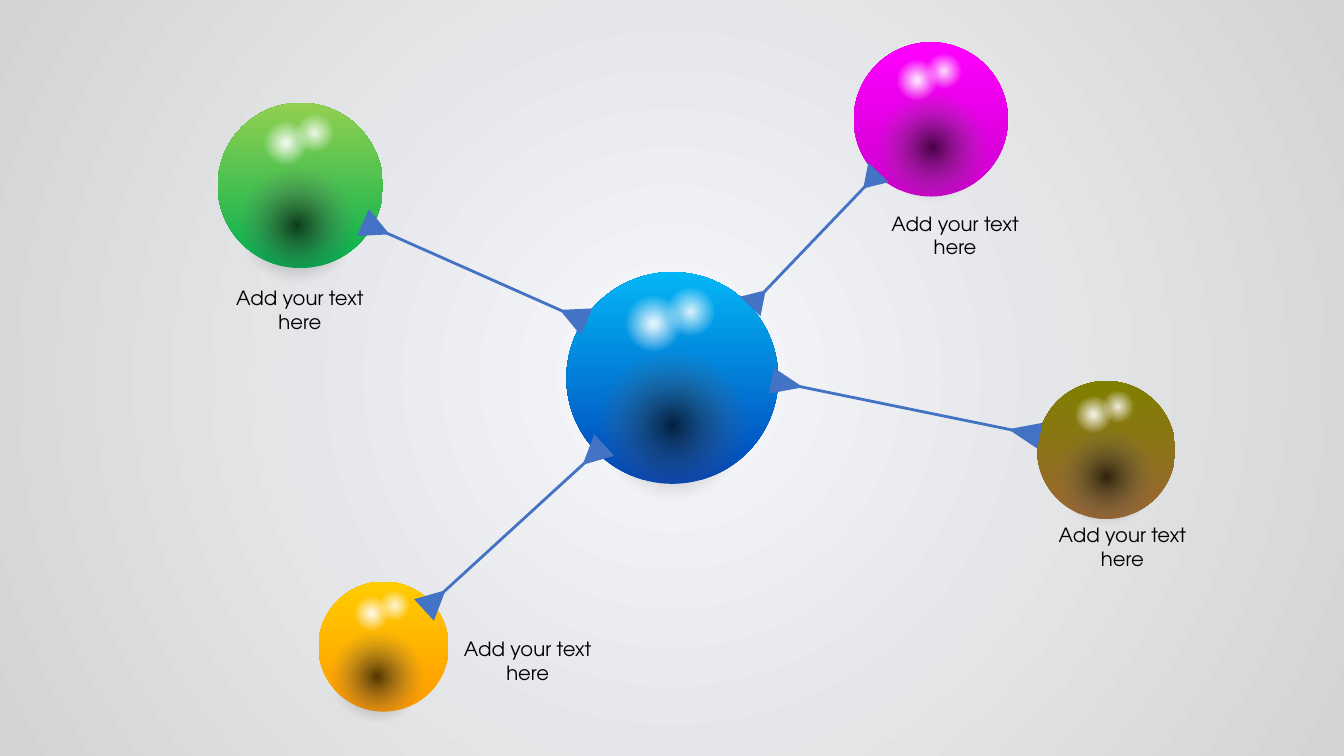
from math import atan2, degrees

from lxml import etree
from pptx import Presentation
from pptx.dml.color import RGBColor
from pptx.enum.shapes import MSO_CONNECTOR, MSO_SHAPE
from pptx.enum.text import MSO_AUTO_SIZE, PP_ALIGN
from pptx.oxml.ns import qn
from pptx.util import Inches, Pt

OVAL, TRIANGLE = MSO_SHAPE.OVAL, MSO_SHAPE.ISOSCELES_TRIANGLE
STRAIGHT = MSO_CONNECTOR.STRAIGHT
CENTER = PP_ALIGN.CENTER
GROW = MSO_AUTO_SIZE.SHAPE_TO_FIT_TEXT

# Square grid: 40 columns by 22.5 rows
COLS, ROWS = 40, 22.5
CELL = Inches(1) / 3

# Gradient stops: position %, colour, opacity %
BACKDROP = [(0, "F6F8FC", 100), (100, "D2D3D5", 100)]
SHADE = [(0, "000000", 68), (42, "6C6C6C", 0), (100, "FFFFFF", 0)]
GLINT_LEFT = [(4, "FFFFFF", 86), (39, "FFFFFF", 0), (77, "FFFFFF", 0)]
GLINT_RIGHT = [(0, "FFFFFF", 86), (34, "FFFFFF", 0), (70, "FFFFFF", 0)]

# Hub and satellites, in grid cells; the shade offset is a share of the ball size
HUB = dict(ball=(16.86, 8.1, 6.3), colors=("0144B9", "03B6F5"), shade=(-0.1, 0.12))
SATELLITES = [
    dict(ball=(6.48, 3.06, 4.92), colors=("00B050", "92D050"), shade=(-0.12, 0.14),
         link=((17.06, 9.4), (11.2, 6.8)), head=(0.87, 0.87), label=(6.15, 8.37)),
    dict(ball=(9.48, 17.31, 3.87), colors=("FF9900", "FFCC00"), shade=(-0.15, 0.13),
         link=((17.66, 13.54), (12.94, 17.86)), head=(0.87, 0.87), label=(12.93, 18.81)),
    dict(ball=(30.87, 11.34, 4.11), colors=("996633", "808000"), shade=(-0.1, 0.09),
         link=((23.43, 11.43), (30.48, 12.87)), head=(0.78, 0.96), label=(30.63, 15.42)),
    dict(ball=(25.41, 1.26, 4.59), colors=("CC00CC", "FF00FF"), shade=(-0.09, 0.08),
         link=((22.56, 8.88), (25.92, 5.37)), head=(0.84, 0.66), label=(25.65, 6.15)),
]


def rgb(color):
    return RGBColor.from_string(color)


def cells(*values):
    return [round(v * CELL) for v in values]


class Diagram:
    font, size, ink, accent = "TeX Gyre Adventor", 14, "000000", "4472C4"
    line_width = 2
    label_size = (5.55, 1.71)

    def __init__(self, slide):
        self.slide = slide
        self.shapes = slide.shapes

    def group(self):
        """Send the next elements to a new group."""
        self.shapes = self.slide.shapes.add_group_shape().shapes

    def gradient(self, fill, owner, stops, angle=None):
        """Linear at the angle, or circular from the centre without one."""
        fill.gradient()
        grad = next(owner.iter(qn("a:gradFill")))
        for child in list(grad):
            grad.remove(child)
        stop_list = etree.SubElement(grad, qn("a:gsLst"))
        for pos, color, opacity in stops:
            gs = etree.SubElement(stop_list, qn("a:gs"), pos=str(pos * 1000))
            clr = etree.SubElement(gs, qn("a:srgbClr"), val=color)
            if opacity < 100:
                etree.SubElement(clr, qn("a:alpha"), val=str(opacity * 1000))
        if angle is None:
            circle = etree.SubElement(grad, qn("a:path"), path="circle")
            etree.SubElement(circle, qn("a:fillToRect"),
                             l="50000", t="50000", r="50000", b="50000")
        else:
            etree.SubElement(grad, qn("a:lin"), ang=str(angle * 60000), scaled="0")

    def backdrop(self, stops):
        self.gradient(self.slide.background.fill, self.slide.element, stops)

    def shape(self, kind, x, y, w, h):
        sp = self.shapes.add_shape(kind, *cells(x, y, w, h))
        sp.shadow.inherit = False
        sp.line.fill.background()
        return sp

    def ball(self, ball, colors, shade):
        """A glossy ball: base, dark shade and two glints."""
        x, y, size = ball
        base = [(0, colors[0], 100), (100, colors[1], 100)]
        layers = [
            (0, 0, 1, base, 270),
            (*shade, 1.2, SHADE, None),
            (0.165, 0, 0.49, GLINT_LEFT, None),
            (0.34, -0.06, 0.49, GLINT_RIGHT, None),
        ]
        for dx, dy, scale, stops, angle in layers:
            sp = self.shape(OVAL, x + dx * size, y + dy * size, scale * size, scale * size)
            self.gradient(sp.fill, sp.element, stops, angle)

    def link(self, start, end, head):
        """A line with a triangle at each end, tips facing inwards."""
        (x1, y1), (x2, y2) = start, end
        dx, dy = x2 - x1, y2 - y1
        inset = 0.03
        line = self.shapes.add_connector(STRAIGHT, *cells(
            x1 + inset * dx, y1 + inset * dy, x2 - inset * dx, y2 - inset * dy))
        line.line.color.rgb = rgb(self.accent)
        line.line.width = Pt(self.line_width)
        etree.SubElement(line.element.spPr, qn("a:effectLst"))
        turn = degrees(atan2(dx, -dy))
        w, h = head
        for x, y, angle in ((x2, y2, turn + 180), (x1, y1, turn)):
            sp = self.shape(TRIANGLE, x - w / 2, y - h / 2, w, h)
            sp.rotation = angle % 360
            sp.fill.solid()
            sp.fill.fore_color.rgb = rgb(self.accent)

    def label(self, x, y, text):
        tf = self.shapes.add_textbox(*cells(x, y, *self.label_size)).text_frame
        tf.word_wrap = True
        tf.auto_size = GROW
        tf.text = text
        p = tf.paragraphs[0]
        p.alignment = CENTER
        font = p.runs[0].font
        font.name, font.size = self.font, Pt(self.size)
        font.color.rgb = rgb(self.ink)


def main():
    prs = Presentation()
    prs.slide_width, prs.slide_height = cells(COLS, ROWS)
    diagram = Diagram(prs.slides.add_slide(prs.slide_layouts[6]))

    # Background and hub
    diagram.backdrop(BACKDROP)
    diagram.group()
    diagram.ball(**HUB)

    # Satellites with their links and labels
    for sat in SATELLITES:
        diagram.group()
        diagram.ball(sat["ball"], sat["colors"], sat["shade"])
        diagram.link(*sat["link"], sat["head"])
        diagram.label(*sat["label"], "Add your text here")

    prs.save("out.pptx")


if __name__ == "__main__":
    main()
